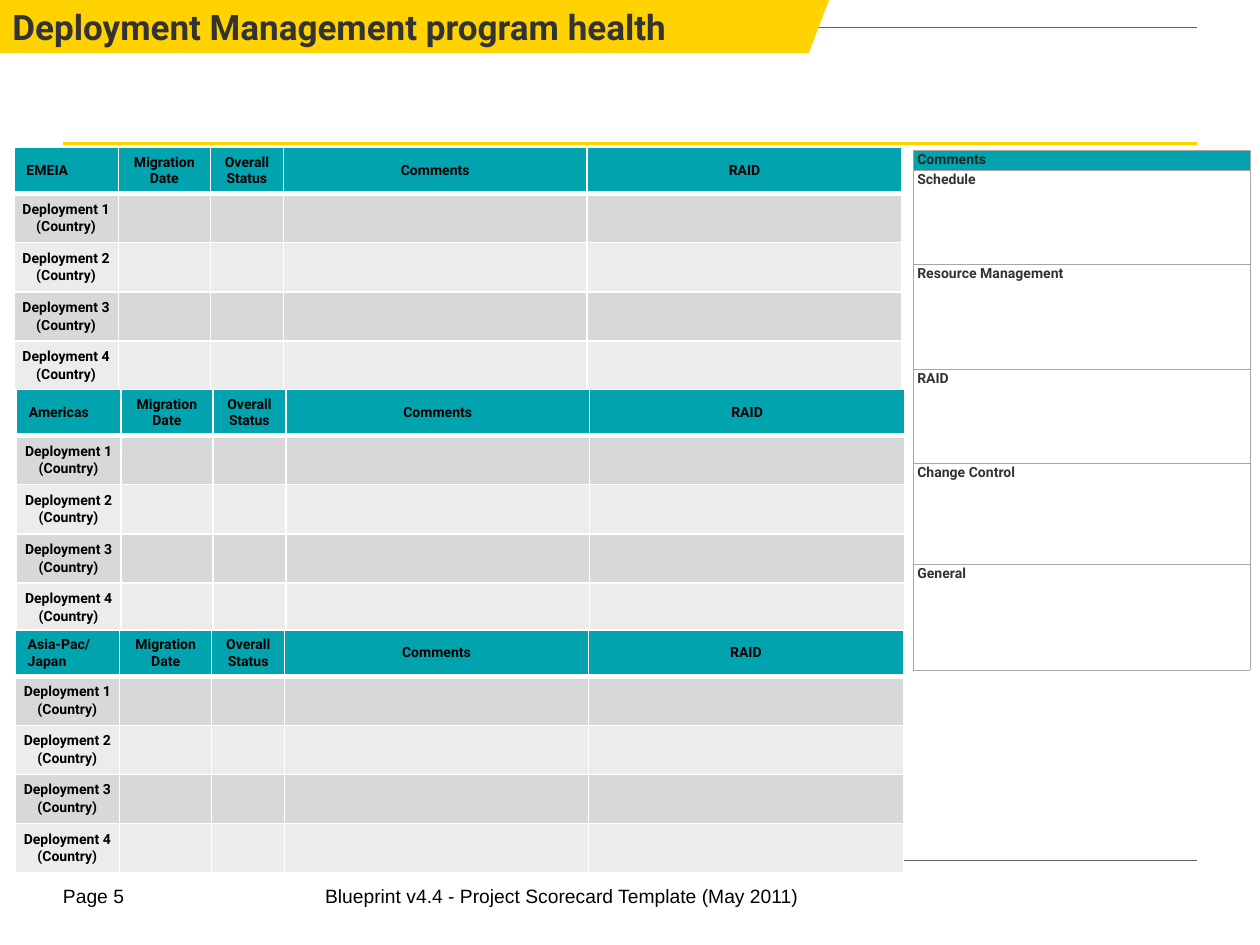
from lxml.etree import SubElement
from pptx import Presentation
from pptx.dml.color import RGBColor
from pptx.enum.shapes import MSO_CONNECTOR
from pptx.enum.text import MSO_ANCHOR as Anchor, PP_ALIGN as Align
from pptx.oxml.ns import qn
from pptx.util import Inches, Pt

TEAL, YELLOW, BLACK, CHARCOAL = "00A3AE", "FFD200", "000000", "333333"


def color(value):
    return RGBColor.from_string(value)


def style_cell(cell, text, fill, ink, align, anchor, margins, border, widths, after=0):
    """Fill in one cell; widths are the left, right, top and bottom borders."""
    properties = cell._tc.get_or_add_tcPr()
    for side, width in zip("LRTB", widths):
        line = SubElement(properties, qn(f"a:ln{side}"), w=str(Pt(width)))
        solid = SubElement(line, qn("a:solidFill"))
        SubElement(solid, qn("a:srgbClr"), val=border)
    if fill:
        cell.fill.solid()
        cell.fill.fore_color.rgb = color(fill)
    else:
        cell.fill.background()
    cell.vertical_anchor = anchor
    cell.margin_left = cell.margin_right = Inches(margins[0])
    cell.margin_top = cell.margin_bottom = Inches(margins[1])
    cell.text = text
    for paragraph in cell.text_frame.paragraphs:
        paragraph.alignment = align
        paragraph.space_after = Pt(after)
        paragraph.font.name = "Roboto"
        paragraph.font.size = Pt(8)
        paragraph.font.bold = True
        paragraph.font.color.rgb = color(ink)


presentation = Presentation()
presentation.slide_width, presentation.slide_height = Inches(10), Inches(7.5)
slide = presentation.slides.add_slide(presentation.slide_layouts[6])
shapes = slide.shapes

# Footer
for text, left, width, align in [
    ("Blueprint v4.4 - Project Scorecard Template (May 2011)", 1.17, 6.58, Align.CENTER),
    ("Page 5", 0.5, 0.73, Align.LEFT),
]:
    box = shapes.add_textbox(Inches(left), Inches(7.02), Inches(width), Inches(0.22))
    frame = box.text_frame
    frame.word_wrap = True
    frame.margin_left = frame.margin_right = frame.margin_top = frame.margin_bottom = 0
    paragraph = frame.paragraphs[0]
    paragraph.text = text
    paragraph.alignment = align
    paragraph.font.name = "Arial"
    paragraph.font.size = Pt(11)
    paragraph.font.color.rgb = color(BLACK)

# Horizontal rules
for top, stroke, width in [(1.14, YELLOW, 1.5), (6.83, "646464", 0.25), (0.22, "646464", 0.5)]:
    rule = shapes.add_connector(
        MSO_CONNECTOR.STRAIGHT, Inches(0.5), Inches(top), Inches(9.5), Inches(top))
    rule.line.color.rgb = color(stroke)
    rule.line.width = Pt(width)
    SubElement(rule._element.spPr, qn("a:effectLst"))

# Title banner with a slanted right end
builder = shapes.build_freeform(Inches(6.58), 0)
builder.add_line_segments(
    [(Inches(6.42), Inches(0.42)), (0, Inches(0.42)), (0, 0)], close=True)
banner = builder.convert_to_shape()
banner.shadow.inherit = False
banner.fill.solid()
banner.fill.fore_color.rgb = color(YELLOW)
banner.line.fill.background()
frame = banner.text_frame
frame.word_wrap = True
frame.vertical_anchor = Anchor.MIDDLE
paragraph = frame.paragraphs[0]
paragraph.text = "Deployment Management program health"
paragraph.alignment = Align.LEFT
paragraph.font.name = "Roboto"
paragraph.font.size = Pt(20)
paragraph.font.bold = True
paragraph.font.color.rgb = color(CHARCOAL)

# Regional deployment tables
column_widths = [0.83, 0.73, 0.58, 2.41, 2.5]
row_heights = [0.35] + [0.39] * 4
headings = ["Migration Date", "Overall Status", "Comments", "RAID"]
for region, left, top in [
    ("EMEIA", 0.11, 1.17), ("Americas", 0.13, 3.09), ("Asia-Pac/ Japan", 0.12, 5)
]:
    table = shapes.add_table(
        len(row_heights), len(column_widths), Inches(left), Inches(top),
        Inches(sum(column_widths)), Inches(sum(row_heights))).table
    table.horz_banding = False
    for column, width in zip(table.columns, column_widths):
        column.width = Inches(width)
    for number, (row, height) in enumerate(zip(table.rows, row_heights)):
        row.height = Inches(height)
        if number == 0:
            texts, fill = [region] + headings, TEAL
            margins, widths = (0.1, 0.05), (1, 1, 1, 3)
        else:
            texts = [f"Deployment {number}\n(Country)"] + [""] * len(headings)
            fill = "D8D8D8" if number % 2 else "ECECED"
            margins, widths = (0.04, 0.01), (1, 1, 1, 1)
        for cell, text in zip(row.cells, texts):
            align = Align.LEFT if text == region else Align.CENTER
            style_cell(cell, text, fill, BLACK, align, Anchor.MIDDLE,
                       margins, "FFFFFF", widths, after=0.8)

# Comments panel
topics = [("Comments", 0.16), ("Schedule", 0.75), ("Resource Management", 0.83),
          ("RAID", 0.75), ("Change Control", 0.8), ("General", 0.84)]
panel = shapes.add_table(
    len(topics), 1, Inches(7.25), Inches(1.19), Inches(2.67),
    Inches(sum(height for _, height in topics))).table
panel.horz_banding = False
for number, (row, (topic, height)) in enumerate(zip(panel.rows, topics)):
    row.height = Inches(height)
    fill, ink, anchor = (None, CHARCOAL, Anchor.TOP) if number else (TEAL, "262626", Anchor.MIDDLE)
    style_cell(row.cells[0], topic, fill, ink, Align.LEFT, anchor,
               (0.03, 0.01), "A6A6A6", (0.25,) * 4)

presentation.save("out.pptx")
